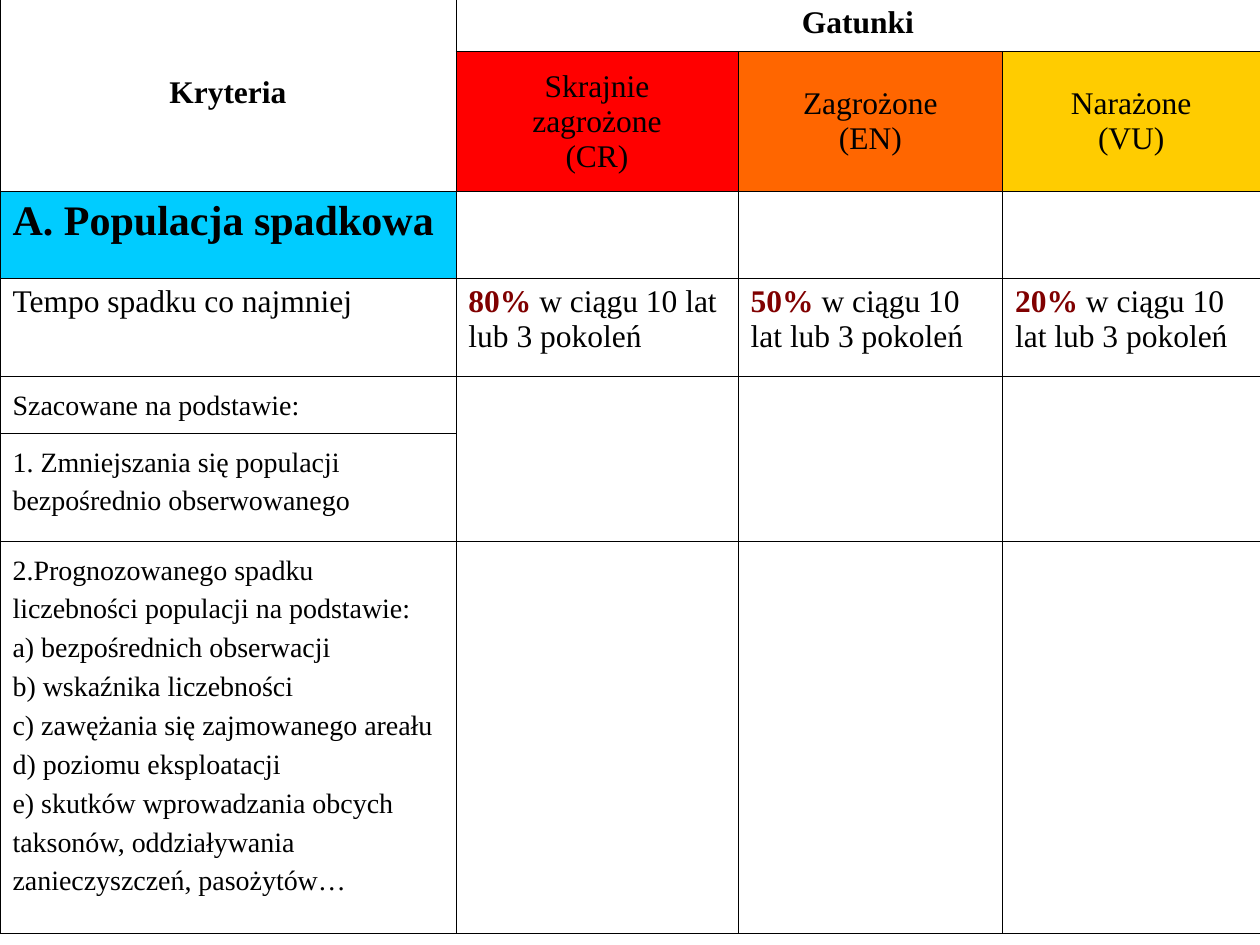
from lxml.etree import SubElement
from pptx import Presentation
from pptx.dml.color import RGBColor
from pptx.enum.text import MSO_ANCHOR as Anchor, PP_ALIGN as Align
from pptx.oxml.ns import qn
from pptx.util import Cm, Pt

COLUMN_WIDTHS = [9.19, 5.69, 5.33, 5.19]
ROW_HEIGHTS = [1.14, 2.82, 1.75, 1.98, 1.14, 2.18, 7.9]
CATEGORIES = [
    (["Skrajnie", "zagrożone", "(CR)"], "FF0000", "80%"),
    (["Zagrożone", "(EN)"], "FF6600", "50%"),
    (["Narażone", "(VU)"], "FFCC00", "20%"),
]
CRITERIA = [
    ["Szacowane na podstawie:"],
    ["1. Zmniejszania się populacji bezpośrednio obserwowanego"],
    [
        "2.Prognozowanego spadku liczebności populacji na podstawie:",
        "a) bezpośrednich obserwacji",
        "b) wskaźnika liczebności",
        "c) zawężania się zajmowanego areału",
        "d) poziomu eksploatacji",
        "e) skutków wprowadzania obcych taksonów, oddziaływania zanieczyszczeń, pasożytów…",
    ],
]


def color(value):
    return RGBColor.from_string(value)


class SlideBuilder:
    font_name = "Times New Roman"
    text_color = "000000"
    border_color = "000000"
    border_width = Pt(0.45)

    def __init__(self, slide):
        self.slide = slide

    def table(self, left, top, widths, heights):
        frame = self.slide.shapes.add_table(
            len(heights), len(widths), Cm(left), Cm(top), Cm(sum(widths)), Cm(sum(heights))
        )
        table = frame.table
        table.first_row = table.horz_banding = False
        for column, width in zip(table.columns, widths):
            column.width = Cm(width)
        for row, height in zip(table.rows, heights):
            row.height = Cm(height)
        for cell in table.iter_cells():
            self.borders(cell)
            cell.fill.background()
        return table

    def borders(self, cell):
        properties = cell._tc.get_or_add_tcPr()
        for side in ("a:lnL", "a:lnR", "a:lnT", "a:lnB"):
            line = SubElement(properties, qn(side), w=str(self.border_width))
            fill = SubElement(line, qn("a:solidFill"))
            SubElement(fill, qn("a:srgbClr"), val=self.border_color)

    def run(self, paragraph, text, size=18, bold=False, text_color=None):
        run = paragraph.add_run()
        run.text = text
        run.font.name = self.font_name
        run.font.size = Pt(size)
        run.font.bold = bold
        run.font.color.rgb = color(text_color or self.text_color)

    def fill(self, cell, value):
        cell.fill.solid()
        cell.fill.fore_color.rgb = color(value)

    def text(self, cell, lines, size=18, bold=False, spacing=None, centered=False):
        if centered:
            cell.vertical_anchor = Anchor.MIDDLE
        for index, line in enumerate(lines):
            frame = cell.text_frame
            paragraph = frame.add_paragraph() if index else frame.paragraphs[0]
            paragraph.line_spacing = spacing
            paragraph.alignment = Align.CENTER if centered else Align.LEFT
            self.run(paragraph, line, size, bold)


def main():
    presentation = Presentation()
    presentation.slide_width, presentation.slide_height = Cm(25.4), Cm(19.05)
    builder = SlideBuilder(presentation.slides.add_slide(presentation.slide_layouts[6]))
    table = builder.table(0, -0.1, COLUMN_WIDTHS, ROW_HEIGHTS)

    table.cell(0, 0).merge(table.cell(1, 0))
    table.cell(0, 1).merge(table.cell(0, 3))
    builder.text(table.cell(0, 0), ["Kryteria"], bold=True, centered=True)
    builder.text(table.cell(0, 1), ["Gatunki"], bold=True, centered=True)

    for column, (names, background, decline) in enumerate(CATEGORIES, 1):
        builder.text(table.cell(1, column), names, centered=True)
        builder.fill(table.cell(1, column), background)
        paragraph = table.cell(3, column).text_frame.paragraphs[0]
        builder.run(paragraph, decline, bold=True, text_color="800000")
        builder.run(paragraph, " w ciągu 10 lat lub 3 pokoleń")
        table.cell(4, column).merge(table.cell(5, column))

    builder.text(table.cell(2, 0), ["A. Populacja spadkowa"], size=24, bold=True)
    builder.fill(table.cell(2, 0), "00CCFF")
    builder.text(table.cell(3, 0), ["Tempo spadku co najmniej"])
    for row, lines in enumerate(CRITERIA, 4):
        builder.text(table.cell(row, 0), lines, size=16, spacing=1.25)

    presentation.save("out.pptx")


if __name__ == "__main__":
    main()
